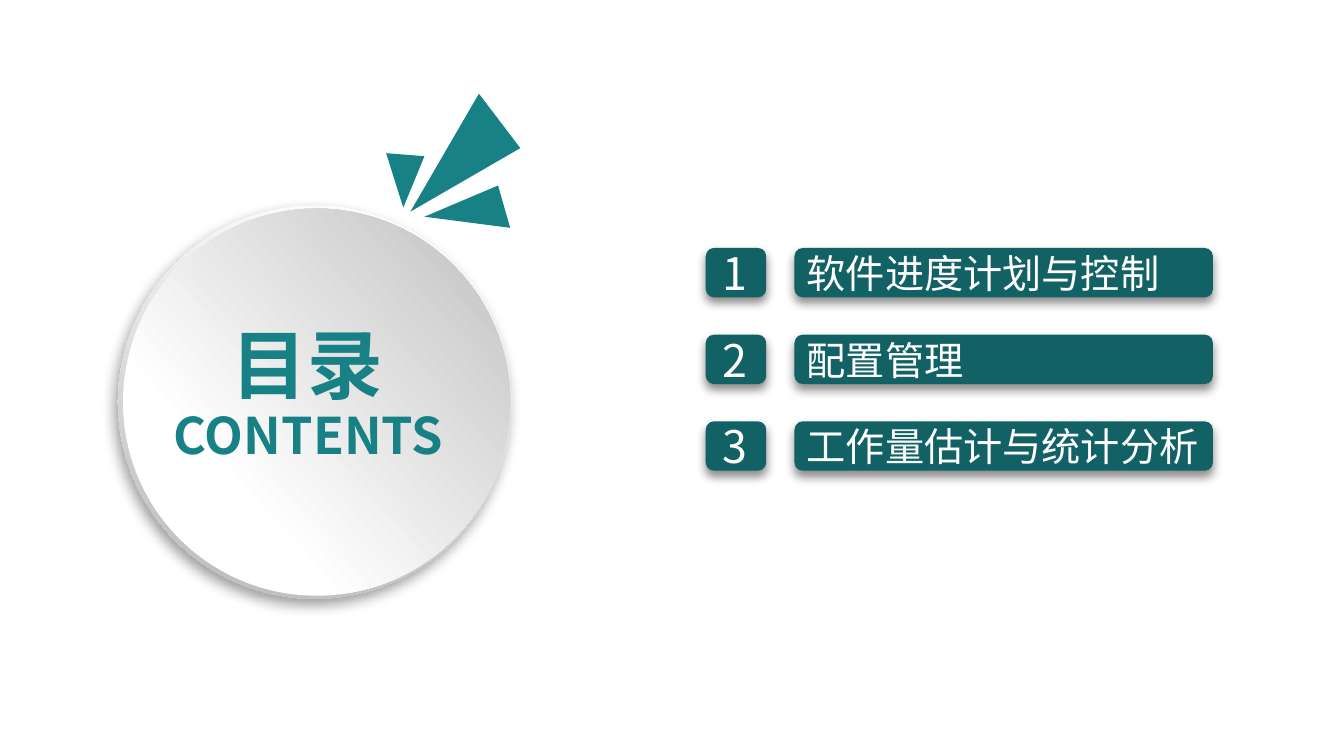
"""Build a contents slide with a title disc and three numbered topics."""
import lxml.etree
import pptx
import pptx.dml.color
import pptx.enum.dml
import pptx.enum.shapes
import pptx.enum.text
import pptx.oxml.ns
import pptx.util

Inches = pptx.util.Inches
Shape = pptx.enum.shapes.MSO_SHAPE
Align = pptx.enum.text.PP_ALIGN
rgb = pptx.dml.color.RGBColor.from_string
qn = pptx.oxml.ns.qn

FONT = "Noto Sans CJK SC"
COLORS = {"teal": "188186", "dark": "126165", "white": "FFFFFF",
          "rim": "B8B8B8", "face": "BFBFBF", "shadow": "000000"}


def write(shape, words, size, color, bold, align):
    paragraph = shape.text_frame.paragraphs[0]
    paragraph.alignment = align
    run = paragraph.add_run()
    run.text = words
    formats = {"size": pptx.util.Pt(size), "bold": bold, "name": FONT}
    for name, value in formats.items():
        setattr(run.font, name, value)
    run.font.color.rgb = rgb(COLORS[color])
    lxml.etree.SubElement(run.font._element, qn("a:ea"), typeface=FONT)


def cast_shadow(shape, alpha, blur, distance, direction):
    effects = shape._element.spPr.find(qn("a:effectLst"))
    outer = lxml.etree.SubElement(
        effects, qn("a:outerShdw"), blurRad=str(pptx.util.Pt(blur)),
        dist=str(pptx.util.Pt(distance)), dir=str(direction * 60000),
        algn="ctr", rotWithShape="0")
    tint = lxml.etree.SubElement(outer, qn("a:srgbClr"), val=COLORS["shadow"])
    lxml.etree.SubElement(tint, qn("a:alpha"), val=str(alpha * 1000))


deck = pptx.Presentation()
deck.slide_width, deck.slide_height = Inches(13.33), Inches(7.5)
slide = deck.slides.add_slide(deck.slide_layouts[6])
shapes = slide.shapes

discs = [(1.17, 2.04, 3.9, 62.3, 0.17, 0.88, "rim"),
         (1.22, 2.07, 3.84, 273, 0.29, 0.98, "face")]
for left, top, size, turn, start, end, shade in discs:
    disc = shapes.add_shape(Shape.OVAL, Inches(left), Inches(top),
                            Inches(size), Inches(size))
    disc.rotation = turn
    disc.shadow.inherit = False
    disc.line.fill.background()
    disc.fill.gradient()
    disc.fill.gradient_angle = 315
    stops = [(start, "white"), (end, shade)]
    for stop, (position, color) in zip(disc.fill.gradient_stops, stops):
        stop.position = position
        stop.color.rgb = rgb(COLORS[color])
    if shade == "rim":
        cast_shadow(disc, 39, 10, 5, 123)

rays = [[(4.07, 2.1), (4.75, 0.93), (5.16, 1.47)],
        [(4.21, 2.15), (4.94, 1.84), (5.06, 2.26)],
        [(4, 2.06), (3.83, 1.52), (4.21, 1.55)]]
for corners in rays:
    points = [(Inches(x), Inches(y)) for x, y in corners]
    outline = shapes.build_freeform(*points[0])
    outline.add_line_segments(points[1:], close=True)
    ray = outline.convert_to_shape()
    ray.shadow.inherit = False
    ray.fill.solid()
    ray.fill.fore_color.rgb = rgb(COLORS["teal"])
    ray.line.fill.background()

titles = [("CONTENTS", 1.43, 3.96, 0.71, 36), ("目录", 1.42, 3.1, 1.01, 54)]
for words, left, top, height, size in titles:
    title = shapes.add_textbox(Inches(left), Inches(top),
                               Inches(3.26), Inches(height))
    title.text_frame.word_wrap = True
    write(title, words, size, "teal", True, Align.CENTER)

topics = ["软件进度计划与控制", "配置管理", "工作量估计与统计分析"]
for row, topic in enumerate(topics):
    top = 2.46 + 0.86 * row
    for left, width, words in [(7, 0.6, ""), (7.88, 4.15, topic)]:
        bar = shapes.add_shape(Shape.ROUNDED_RECTANGLE, Inches(left),
                               Inches(top), Inches(width), Inches(0.49))
        bar.shadow.inherit = False
        bar.fill.solid()
        bar.fill.fore_color.rgb = rgb(COLORS["dark"])
        bar.line.fill.background()
        cast_shadow(bar, 46, 7, 4, 90)
        if words:
            bar.text_frame.vertical_anchor = pptx.enum.text.MSO_ANCHOR.MIDDLE
            write(bar, words, 28, "white", False, Align.LEFT)
    number = shapes.add_textbox(Inches(7.07), Inches(top - 0.07),
                                Inches(0.46), Inches(0.64))
    number.text_frame.word_wrap = False
    write(number, str(row + 1), 32, "white", False, Align.LEFT)

deck.save("out.pptx")
